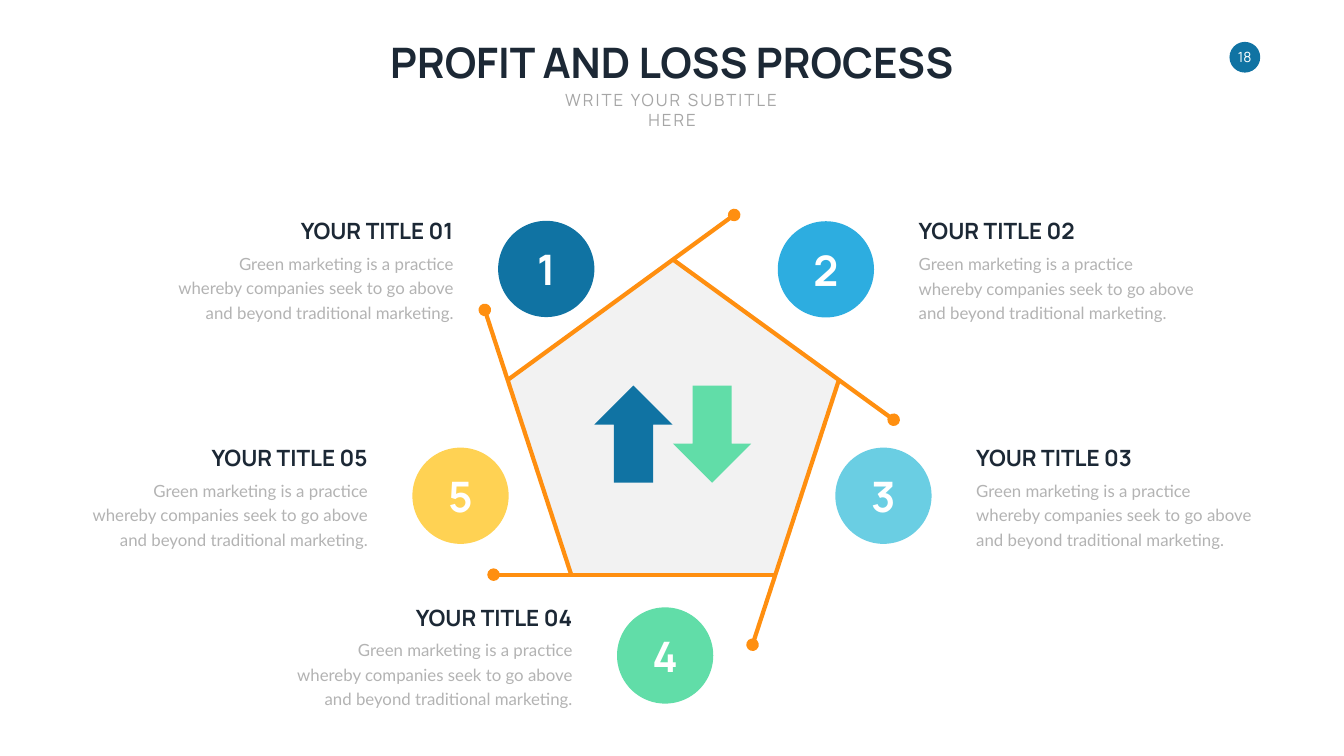
from dataclasses import dataclass

from lxml import etree
from pptx import Presentation
from pptx.dml.color import RGBColor
from pptx.enum.shapes import MSO_CONNECTOR, MSO_SHAPE
from pptx.enum.text import MSO_ANCHOR, MSO_AUTO_SIZE, PP_ALIGN
from pptx.oxml.ns import qn
from pptx.shapes.autoshape import Shape
from pptx.util import Cm, Pt

OVAL, PENTA = MSO_SHAPE.OVAL, MSO_SHAPE.REGULAR_PENTAGON
UP, DOWN = MSO_SHAPE.UP_ARROW, MSO_SHAPE.DOWN_ARROW
TOP, MID, LOW = MSO_ANCHOR.TOP, MSO_ANCHOR.MIDDLE, MSO_ANCHOR.BOTTOM
LEFT, RIGHT, MIDST = PP_ALIGN.LEFT, PP_ALIGN.RIGHT, PP_ALIGN.CENTER
STRAIGHT, FIT = MSO_CONNECTOR.STRAIGHT, MSO_AUTO_SIZE.SHAPE_TO_FIT_TEXT

HUES = {
    "blue": "1073A3", "sky": "2DADE0", "aqua": "6ACEE3", "green": "61DDA8",
    "gold": "FFD253", "amber": "FF8F10", "pale": "F2F2F2", "white": "FFFFFF",
    "ink": "1C2835", "grey": "A6A6A6", "soft": "B3B3B3",
}

BODY = ("Green marketing is a practice whereby companies seek to go above "
        "and beyond traditional marketing.")


@dataclass
class Style:
    """Look of one kind of text."""
    font: dict
    hue: str
    para: dict
    anchor: MSO_ANCHOR = TOP
    inset: tuple = (0.25, 0.13)
    track: int = 0


@dataclass
class Step:
    """One numbered step; left and top belong to its circle."""
    num: int
    left: float
    top: float
    hue: str
    side: PP_ALIGN


def font(size: int, name: str = "Manrope", bold: bool = False) -> dict:
    """Give the font values for a text style."""
    return {"size": Pt(size), "name": name, "bold": bold}


PAGE = Style(font(20), "white", {"alignment": MIDST}, MID, (0, 0))
HEAD = Style(font(60, bold=True), "ink", {"alignment": MIDST})
SUB = Style(font(24), "grey", {"alignment": MIDST}, track=300)
DIGIT = Style(font(60, bold=True), "white", {"alignment": MIDST}, MID)


def step_styles(side: PP_ALIGN) -> tuple[Style, Style]:
    """Give the title and body styles for one side."""
    title = Style(font(32, bold=True), "ink", {"alignment": side}, LOW)
    body = Style(font(24, "Lato"), "soft", {
        "alignment": side, "line_spacing": Pt(35), "space_before": Pt(4.8)})
    return title, body


STEPS = [
    Step(1, 25.1, 11.13, "blue", RIGHT),
    Step(2, 39.19, 11.15, "sky", LEFT),
    Step(3, 42.09, 22.56, "aqua", LEFT),
    Step(4, 31.09, 30.61, "green", RIGHT),
    Step(5, 20.78, 22.56, "gold", RIGHT),
]
DISC, GAP = 4.85, 2.0
TITLE_W, TITLE_H = 8.56, 1.63
BODY_W, BODY_H = 14.55, 3.86
DIGIT_W, DIGIT_H = 1.95, 2.82

CORNERS = [(33.91, 13.08), (42.27, 19.15), (39.07, 28.96),
           (28.78, 28.96), (25.58, 19.15)]
REACH = [1.33, 1.36, 1.38, 1.36, 1.37]

deck = Presentation()
deck.slide_width, deck.slide_height = Cm(67.72), Cm(38.1)
slide = deck.slides.add_slide(deck.slide_layouts[6])


def apply(target: object, values: dict) -> None:
    """Set each format value on the target."""
    for key, value in values.items():
        setattr(target, key, value)


def tint(hue: str) -> RGBColor:
    """Look up a colour by name."""
    return RGBColor.from_string(HUES[hue])


def shape(kind: MSO_SHAPE, x: float, y: float, w: float, h: float,
          hue: str) -> Shape:
    """Draw a plain filled shape."""
    item = slide.shapes.add_shape(kind, Cm(x), Cm(y), Cm(w), Cm(h))
    item.shadow.inherit = False
    item.fill.solid()
    item.fill.fore_color.rgb = tint(hue)
    item.line.fill.background()
    return item


def write(words: str, x: float, y: float, w: float, h: float,
          style: Style) -> None:
    """Place a text box in the given style."""
    frame = slide.shapes.add_textbox(Cm(x), Cm(y), Cm(w), Cm(h)).text_frame
    side, edge = map(Cm, style.inset)
    apply(frame, {
        "word_wrap": True, "auto_size": FIT, "vertical_anchor": style.anchor,
        "margin_left": side, "margin_right": side,
        "margin_top": edge, "margin_bottom": edge})
    para = frame.paragraphs[0]
    apply(para, style.para)
    run = para.add_run()
    run.text = words
    apply(run.font, style.font)
    run.font.color.rgb = tint(style.hue)
    if style.track:
        run.font._element.set("spc", str(style.track))


def spoke(start: tuple, corner: tuple, reach: float) -> None:
    """Draw a pentagon side that runs on past its corner to a dot."""
    end = [a + (b - a) * reach for a, b in zip(start, corner)]
    line = slide.shapes.add_connector(STRAIGHT, *map(Cm, (*start, *end)))
    line.line.color.rgb = tint("amber")
    line.line.width = Pt(6)
    props = line._element.spPr
    etree.SubElement(props.find(qn("a:ln")), qn("a:tailEnd"), type="oval")
    etree.SubElement(props, qn("a:effectLst"))


def draw_step(step: Step) -> None:
    """Draw a step's title, body, circle and number."""
    title, body = step_styles(step.side)

    def text_x(width: float) -> float:
        """Find the left edge of text beside the circle."""
        if step.side == RIGHT:
            return step.left - GAP - width
        return step.left + DISC + GAP

    top = step.top - 0.33
    write(f"YOUR TITLE {step.num:02}", text_x(TITLE_W), top,
          TITLE_W, TITLE_H, title)
    write(BODY, text_x(BODY_W), top + TITLE_H, BODY_W, BODY_H, body)
    shape(OVAL, step.left, step.top, DISC, DISC, step.hue)
    write(str(step.num), step.left + (DISC - DIGIT_W) / 2,
          step.top + (DISC - DIGIT_H) / 2, DIGIT_W, DIGIT_H, DIGIT)


shape(OVAL, 61.95, 2.11, 1.55, 1.55, "blue")
write("18", 62.2, 2.46, 1.04, 0.86, PAGE)
write("PROFIT AND LOSS PROCESS", 19.23, 1.7, 29.24, 2.82, HEAD)
write("WRITE YOUR SUBTITLE HERE", 26.97, 4.37, 13.79, 1.27, SUB)

shape(PENTA, 25.58, 13.08, 16.66, 15.88, "pale")
for start, corner, reach in zip(CORNERS, CORNERS[1:] + CORNERS[:1], REACH):
    spoke(start, corner, reach)
for step in reversed(STEPS):
    draw_step(step)
for kind, x, hue in ((UP, 29.95, "blue"), (DOWN, 33.91, "green")):
    shape(kind, x, 19.43, 3.94, 4.9, hue)

deck.save("out.pptx")
